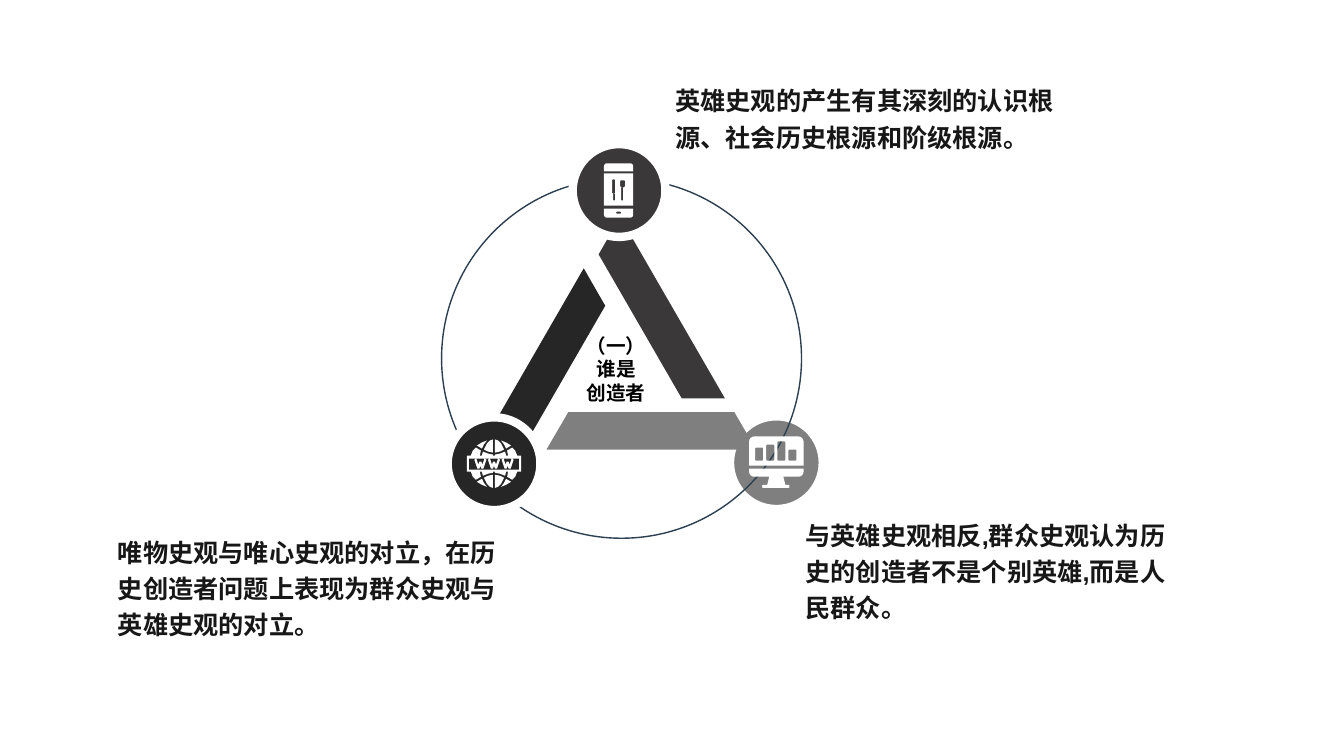
from math import cos, pi, sin

from pptx import Presentation
from pptx.dml.color import RGBColor
from pptx.enum.shapes import MSO_SHAPE as Shape
from pptx.enum.text import MSO_ANCHOR as Anchor, PP_ALIGN as Align
from pptx.util import Inches, Pt

THEME = {
    "font": "Arial", "body_size": 18, "title_size": 14,
    "black": "000000", "text": "181717", "white": "FFFFFF", "ring": "2C3F50",
    "charcoal": "3A3838", "ink": "262626", "gray": "7F7F7F",
}

TITLE = ["（一）", "谁是", "创造者"]
NOTES = [  # left, top, wording
    (6.6, 0.74, "英雄史观的产生有其深刻的认识根源、社会历史根源和阶级根源。"),
    (1.07, 5.22, "唯物史观与唯心史观的对立，在历史创造者问题上表现为群众史观与英雄史观的对立。"),
    (7.89, 5.05, "与英雄史观相反,群众史观认为历史的创造者不是个别英雄,而是人民群众。"),
]
NOTE_SIZE = (3.99, 0.69)
BAR_SIZE = (2.08, 0.37)
BARS = [  # left, top, rotation, colour
    (5.47, 2.96, 240, "charcoal"),
    (5.42, 4.09, 0, "gray"),
    (4.39, 3.47, 120, "ink"),
]
NODE = 0.92
PHONE_NODE = (5.68, 1.43, "charcoal")
GLOBE_NODE = (4.44, 4.14, "ink")
MONITOR_NODE = (7.24, 4.13, "gray")
RING = (4.38, 1.77, 3.57, 3.57)
UNITS_PER_INCH = 1000  # freeform points are rounded to whole units

# Icon parts: left, top, width, height, top corner radius, bottom corner radius
PHONE = [
    (5.99, 1.62, 0.29, 0.08, 0.03, 0),
    (5.99, 1.72, 0.29, 0.32, 0, 0),
    (5.99, 2.07, 0.29, 0.09, 0, 0.03),
    (6.11, 2.1, 0.05, 0.02, 0.01, 0.01),
    (6.07, 1.78, 0.03, 0.14, 0.01, 0.01),
    (6.08, 1.92, 0.02, 0.07, 0, 0.01),
    (6.15, 1.79, 0.05, 0.07, 0.01, 0.02),
    (6.16, 1.86, 0.02, 0.13, 0, 0.01),
]
MONITOR = [
    (7.43, 4.33, 0.54, 0.29, 0.05, 0),
    (7.43, 4.65, 0.54, 0.08, 0, 0.05),
    (7.56, 4.81, 0.27, 0.03, 0.01, 0.01),
]
CHART_BASE = 4.57
CHART_TOPS = [4.44, 4.41, 4.38, 4.46]
STAND = [(7.63, 4.73), (7.77, 4.73), (7.79, 4.81), (7.61, 4.81)]

# Globe parts are offsets from its centre; each quarter is mirrored
GLOBE_CENTER = (4.9, 4.6)
GLOBE_QUARTER = [
    [(0.01, 0.24), (0.04, 0.23), (0.07, 0.2), (0.1, 0.14), (0.06, 0.12), (0.01, 0.11)],
    [(0.07, 0.23), (0.12, 0.21), (0.17, 0.18), (0.12, 0.15), (0.1, 0.19)],
    [(0.01, 0.09), (0.06, 0.1), (0.11, 0.12), (0.12, 0.08), (0.01, 0.08)],
    [(0.18, 0.16), (0.21, 0.13), (0.23, 0.08), (0.14, 0.08), (0.13, 0.13)],
]
BANNER = [(4.63, 4.52, 0.54, 0.16, 0, 0), (4.65, 4.55, 0.5, 0.11, 0, 0)]
LETTER_W = [
    (-0.04, -0.05), (-0.02, 0.01), (-0.01, -0.02), (0.01, -0.02), (0.02, 0.01),
    (0.04, -0.05), (0.06, -0.04), (0.03, 0.05), (0.01, 0.05), (0, 0.02),
    (-0.01, 0.05), (-0.03, 0.05), (-0.06, -0.04),
]
LETTER_STEP = 0.135


def color(name):
    return RGBColor.from_string(THEME[name])


def rounded(left, top, width, height, top_radius, bottom_radius):
    """Outline points of a box whose upper and lower corners may be round."""
    right, bottom = left + width, top + height
    corners = [
        (left + top_radius, top + top_radius, top_radius, 2),
        (right - top_radius, top + top_radius, top_radius, 3),
        (right - bottom_radius, bottom - bottom_radius, bottom_radius, 0),
        (left + bottom_radius, bottom - bottom_radius, bottom_radius, 1),
    ]
    points = []
    for x, y, radius, quarter in corners:
        for step in range(5 if radius else 1):
            angle = (quarter + step / 4) * pi / 2
            points.append((x + radius * cos(angle), y + radius * sin(angle)))
    return points


def moved(points, dx, dy, flip_x=1, flip_y=1):
    return [(dx + flip_x * x, dy + flip_y * y) for x, y in points]


def phone_outlines():
    return [rounded(*part) for part in PHONE]


def globe_outlines():
    x, y = GLOBE_CENTER
    quarters = [moved(piece, x, y, flip_x, flip_y) for piece in GLOBE_QUARTER
                for flip_x in (-1, 1) for flip_y in (-1, 1)]
    letters = [moved(LETTER_W, x + step * LETTER_STEP, y) for step in (-1, 0, 1)]
    return quarters + [rounded(*part) for part in BANNER] + letters


def monitor_outlines():
    chart = [rounded(7.49 + 0.11 * index, top, 0.08, CHART_BASE - top, 0.01, 0.01)
             for index, top in enumerate(CHART_TOPS)]
    return [rounded(*part) for part in MONITOR] + chart + [STAND]


def paint(shape, fill=None, line=None, width=1):
    shape.shadow.inherit = False
    for part, name in ((shape.fill, fill), (shape.line.fill, line)):
        if name:
            part.solid()
            part.fore_color.rgb = color(name)
        else:
            part.background()
    if line:
        shape.line.width = Pt(width)


def add_preset(slide, kind, box, **paint_values):
    shape = slide.shapes.add_shape(kind, *map(Inches, box))
    paint(shape, **paint_values)
    return shape


def add_node(slide, left, top, fill):
    add_preset(slide, Shape.OVAL, (left, top, NODE, NODE), fill=fill, line="white", width=6)


def add_icon(slide, outlines):
    """Draw all outlines as one shape; an outline inside another is a hole."""
    scaled = [[(x * UNITS_PER_INCH, y * UNITS_PER_INCH) for x, y in points]
              for points in outlines]
    builder = slide.shapes.build_freeform(*scaled[0][0], scale=Inches(1) / UNITS_PER_INCH)
    for index, points in enumerate(scaled):
        if index:
            builder.move_to(*points[0])
        builder.add_line_segments(points[1:], close=True)
    paint(builder.convert_to_shape(), fill="white")


def add_text(slide, box, lines, size, name, paragraph_format, frame_format):
    frame = slide.shapes.add_textbox(*map(Inches, box)).text_frame
    for key, value in frame_format.items():
        setattr(frame, key, value)
    for index, line in enumerate(lines):
        paragraph = frame.add_paragraph() if index else frame.paragraphs[0]
        run = paragraph.add_run()
        run.text = line
        for key, value in paragraph_format.items():
            setattr(paragraph, key, value)
        for key, value in {"name": THEME["font"], "size": Pt(size), "bold": True}.items():
            setattr(run.font, key, value)
        run.font.color.rgb = color(name)


def main():
    presentation = Presentation()
    presentation.slide_width, presentation.slide_height = Inches(13.33), Inches(7.5)
    slide = presentation.slides.add_slide(presentation.slide_layouts[6])

    add_node(slide, *MONITOR_NODE)
    add_preset(slide, Shape.OVAL, RING, line="ring")
    for left, top, rotation, fill in BARS:
        bar = add_preset(slide, Shape.TRAPEZOID, (left, top, *BAR_SIZE), fill=fill)
        bar.adjustments[0] = 0.584
        bar.rotation = rotation
    add_node(slide, *PHONE_NODE)
    add_icon(slide, phone_outlines())
    add_node(slide, *GLOBE_NODE)
    add_icon(slide, globe_outlines())
    add_icon(slide, monitor_outlines())

    add_text(slide, (5.05, 3.25, 2.12, 0.82), TITLE, THEME["title_size"], "black",
             {"alignment": Align.CENTER},
             {"word_wrap": False, "vertical_anchor": Anchor.MIDDLE})
    for left, top, wording in NOTES:
        add_text(slide, (left, top, *NOTE_SIZE), [wording], THEME["body_size"], "text",
                 {"line_spacing": 1.2}, {"word_wrap": True})
    presentation.save("out.pptx")


if __name__ == "__main__":
    main()
